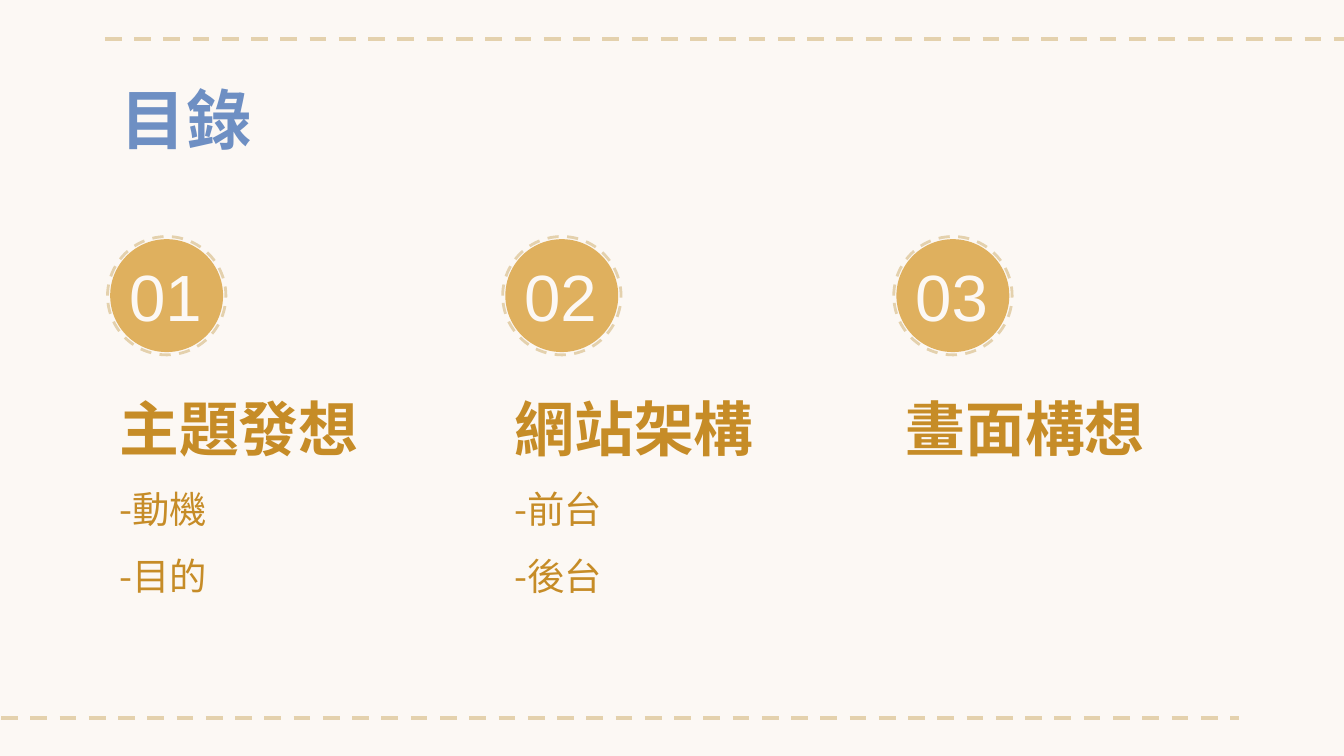
from dataclasses import dataclass

from lxml.etree import SubElement
from pptx import Presentation
from pptx.dml.color import RGBColor
from pptx.enum.dml import MSO_LINE
from pptx.enum.shapes import MSO_CONNECTOR, MSO_SHAPE
from pptx.enum.text import MSO_ANCHOR, PP_ALIGN
from pptx.oxml.ns import qn
from pptx.util import Pt

CREAM = RGBColor(0xFC, 0xF8, 0xF4)
SAND = RGBColor(0xE4, 0xD1, 0xAD)
GOLD = RGBColor(0xDF, 0xB0, 0x5E)
OCHRE = RGBColor(0xC6, 0x8C, 0x27)
BLUE = RGBColor(0x6E, 0x8F, 0xC3)
SANS = "Arial"
CJK = "Noto Sans CJK SC"
RING, DISC = 63.4, 60.5


@dataclass
class Topic:
    left: float
    title: str
    items: tuple[str, ...] = ()


TOPICS = [
    Topic(57.6, "主題發想", ("-動機", "-目的")),
    Topic(269.3, "網站架構", ("-前台", "-後台")),
    Topic(478.8, "畫面構想"),
]


def style(para, size: float, color: RGBColor, face: str, bold: bool = False) -> None:
    font = para.font
    font.size, font.bold, font.name = Pt(size), bold, face
    font.color.rgb = color
    # East Asian text needs its own typeface entry
    SubElement(font._element, qn("a:ea")).set("typeface", face)


def setup(frame) -> None:
    frame.word_wrap = True
    frame.vertical_anchor = MSO_ANCHOR.TOP
    frame.margin_left = frame.margin_right = Pt(7.2)
    frame.margin_top = frame.margin_bottom = Pt(7.2)


def add_text(slide, left: float, top: float, width: float, height: float):
    box = slide.shapes.add_textbox(Pt(left), Pt(top), Pt(width), Pt(height))
    setup(box.text_frame)
    return box.text_frame


def add_rule(slide, left: float, top: float) -> None:
    rule = slide.shapes.add_connector(
        MSO_CONNECTOR.STRAIGHT, Pt(left), Pt(top), Pt(left + 679), Pt(top))
    rule.line.color.rgb = SAND
    rule.line.width = Pt(2.25)
    rule.line.dash_style = MSO_LINE.DASH
    SubElement(rule._element.spPr, qn("a:effectLst"))


def add_oval(group, left: float, top: float, size: float):
    oval = group.shapes.add_shape(
        MSO_SHAPE.OVAL, Pt(left), Pt(top), Pt(size), Pt(size))
    oval.shadow.inherit = False
    return oval


def add_badge(slide, left: float, top: float) -> None:
    group = slide.shapes.add_group_shape()
    ring = add_oval(group, left, top, RING)
    ring.fill.background()
    ring.line.color.rgb = SAND
    ring.line.width = Pt(1.5)
    ring.line.dash_style = MSO_LINE.DASH
    gap = (RING - DISC) / 2
    disc = add_oval(group, left + gap, top + gap, DISC)
    disc.fill.solid()
    disc.fill.fore_color.rgb = GOLD
    disc.line.fill.background()


def add_topic(slide, num: int, topic: Topic) -> None:
    add_badge(slide, topic.left, 126.7)

    # Number over the badge
    frame = add_text(slide, topic.left + 2.2, 140.4, 57.6, 35.3)
    frame.vertical_anchor = MSO_ANCHOR.MIDDLE
    para = frame.paragraphs[0]
    para.text = f"{num:02}"
    para.alignment = PP_ALIGN.CENTER
    style(para, 35, CREAM, SANS)

    # Heading and its items
    frame = add_text(slide, topic.left - 0.7, 183.6, 181.4, 136)
    frame.text = "\n".join((topic.title, *topic.items))
    for i, para in enumerate(frame.paragraphs):
        para.line_spacing = 1.5
        style(para, 20 if i else 32, OCHRE, CJK, bold=i == 0)


def main() -> None:
    deck = Presentation()
    deck.slide_width, deck.slide_height = Pt(720), Pt(405)
    slide = deck.slides.add_slide(deck.slide_layouts[5])
    slide.background.fill.solid()
    slide.background.fill.fore_color.rgb = CREAM

    # Dashed rules at top and bottom
    add_rule(slide, 56.2, 20.9)
    add_rule(slide, -15.1, 384.5)

    # Title
    title = slide.shapes.title
    title.left, title.top = Pt(57.6), Pt(35.3)
    title.width, title.height = Pt(607), Pt(45.4)
    setup(title.text_frame)
    para = title.text_frame.paragraphs[0]
    para.text = "目錄"
    para.alignment = PP_ALIGN.LEFT
    style(para, 35, BLUE, CJK, bold=True)

    # Topics
    for num, topic in enumerate(TOPICS, 1):
        add_topic(slide, num, topic)

    deck.save("out.pptx")


if __name__ == "__main__":
    main()
